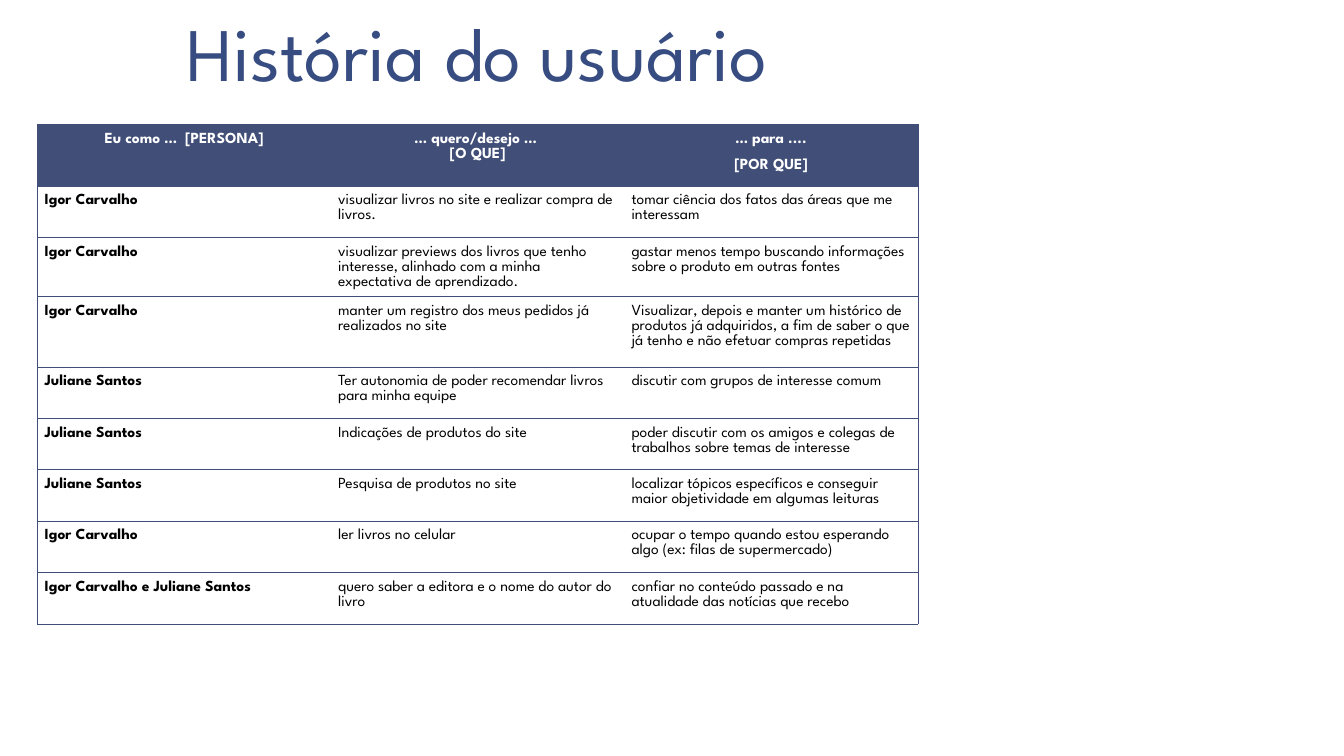
from lxml import etree
from pptx import Presentation
from pptx.dml.color import RGBColor
from pptx.enum.text import MSO_ANCHOR, MSO_AUTO_SIZE, PP_ALIGN
from pptx.oxml.ns import qn
from pptx.util import Inches, Pt

LEFT, MID, FULL = PP_ALIGN.LEFT, PP_ALIGN.CENTER, PP_ALIGN.JUSTIFY
CENTER, FIXED = MSO_ANCHOR.MIDDLE, MSO_AUTO_SIZE.NONE
HEX = {"title": "374C81", "head": "414E77", "ink": "000000", "paper": "FFFFFF"}
FONT = "League Spartan"

HEADS = ["Eu como …  [PERSONA]", "… quero/desejo … \v[O QUE]", "… para ....\n[POR QUE]"]
IGOR, JULI = "Igor Carvalho", "Juliane Santos"
STORIES = [
    (IGOR, "visualizar livros no site e realizar compra de livros.",
     "tomar ciência dos fatos das áreas que me interessam"),
    (IGOR, "visualizar previews dos livros que tenho interesse, alinhado com a minha "
     "expectativa de aprendizado.",
     "gastar menos tempo buscando informações sobre o produto em outras fontes"),
    (IGOR, "manter um registro dos meus pedidos já realizados no site",
     "Visualizar, depois e manter um histórico de produtos já adquiridos, a fim de "
     "saber o que já tenho e não efetuar compras repetidas"),
    (JULI, "Ter autonomia de poder recomendar livros para minha equipe",
     "discutir com grupos de interesse comum"),
    (JULI, "Indicações de produtos do site",
     "poder discutir com os amigos e colegas de trabalhos sobre temas de interesse"),
    (JULI, "Pesquisa de produtos no site",
     "localizar tópicos específicos e conseguir maior objetividade em algumas leituras"),
    (IGOR, "ler livros no celular",
     "ocupar o tempo quando estou esperando algo (ex: filas de supermercado)"),
    (f"{IGOR} e {JULI}", "quero saber a editora e o nome do autor do livro",
     "confiar no conteúdo passado e na atualidade das notícias que recebo"),
]
# Row heights as shares of the slide's height
ROW, TALL = 0.068, {0: 0.081, 3: 0.093}


def write(frame, text, size=11, color="ink", bold=False, align=LEFT, lead=1.07, after=8):
    """Fill a text frame: a newline starts a paragraph, a vertical tab a line."""
    frame.word_wrap = True
    for n, part in enumerate(text.split("\n")):
        para = frame.add_paragraph() if n else frame.paragraphs[0]
        para.text = part
        para.alignment, para.line_spacing = align, lead
        para.space_before, para.space_after = Pt(0), Pt(after)
        for run in para.runs:
            font = run.font
            font.name, font.size, font.bold = FONT, Pt(size), bold
            font.color.rgb = RGBColor.from_string(HEX[color])


def edge(cell, side, shown):
    line = etree.SubElement(cell._tc.get_or_add_tcPr(), qn(f"a:ln{side}"), w=str(Pt(0.5)))
    if shown:
        fill = etree.SubElement(line, qn("a:solidFill"))
        etree.SubElement(fill, qn("a:srgbClr"), val=HEX["head"])
    else:
        etree.SubElement(line, qn("a:noFill"))


class Deck:
    def __init__(self, wide, high):
        self.prs = Presentation()
        self.wide, self.high = Inches(wide), Inches(high)
        self.prs.slide_width, self.prs.slide_height = self.wide, self.high
        self.slide = self.prs.slides.add_slide(self.prs.slide_layouts[5])

    def box(self, x, y, w, h):
        """Turn shares of the slide's size into lengths."""
        return [round(v) for v in (x * self.wide, y * self.high, w * self.wide, h * self.high)]

    def title(self, text, *area):
        shape = self.slide.shapes.title
        shape.left, shape.top, shape.width, shape.height = self.box(*area)
        frame = shape.text_frame
        frame.auto_size, frame.vertical_anchor = FIXED, CENTER
        frame.margin_left = frame.margin_right = Inches(0.13)
        frame.margin_top = frame.margin_bottom = Inches(0.07)
        write(frame, text, size=54, color="title", align=MID, lead=0.85, after=0)

    def table(self, rows, *area):
        place = self.box(*area)
        shape = self.slide.shapes.add_table(len(rows), len(rows[0]), *place)
        grid = shape.table
        grid.horz_banding = False
        for r, texts in enumerate(rows):
            grid.rows[r].height = round(TALL.get(r, ROW) * self.high)
            for c, text in enumerate(texts):
                self.cell(grid.cell(r, c), text, r == 0, c == 0, c == len(texts) - 1)
        shape.height = place[3]

    def cell(self, cell, text, head, first, last):
        cell.margin_left = cell.margin_right = Inches(0.07)
        cell.margin_top = cell.margin_bottom = Inches(0.07)
        for side, shown in (("L", first), ("R", last), ("T", True), ("B", True)):
            edge(cell, side, shown)
        cell.fill.solid()
        cell.fill.fore_color.rgb = RGBColor.from_string(HEX["head" if head else "paper"])
        align = MID if head else FULL if first else LEFT
        write(cell.text_frame, text, color="paper" if head else "ink",
              bold=head or first, align=align)


def main():
    deck = Deck(13.33, 7.5)
    deck.title("História do usuário", 0.045, 0.011, 0.62, 0.132)
    deck.table([HEADS, *STORIES], 0.028, 0.165, 0.655, 0.82)
    deck.prs.save("out.pptx")


if __name__ == "__main__":
    main()
